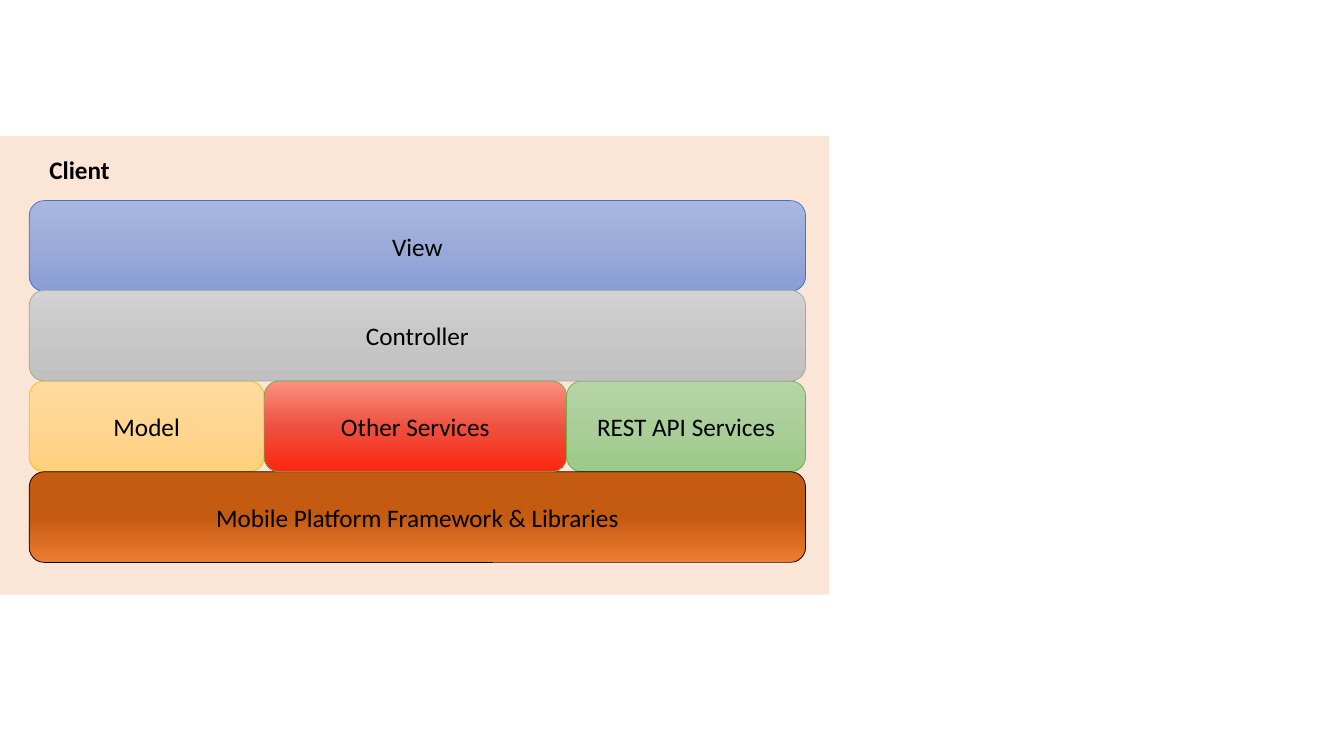
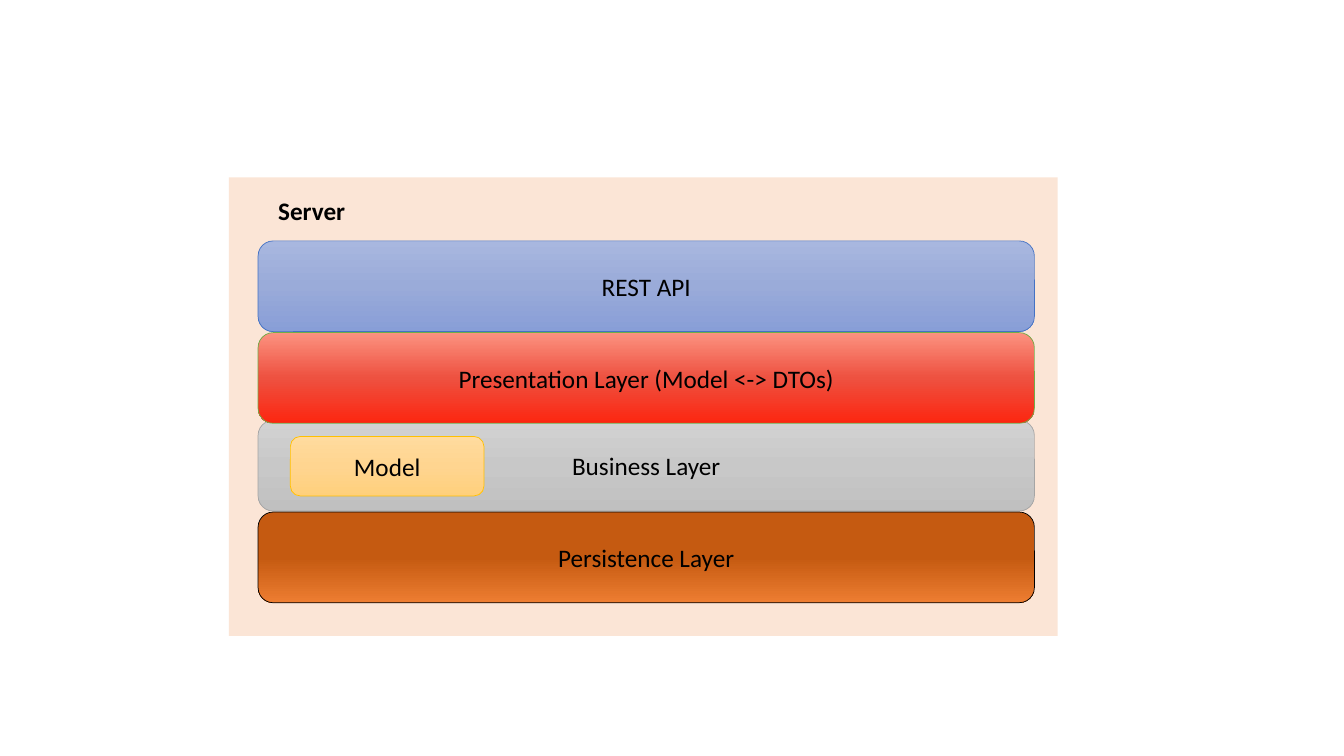
from copy import deepcopy
from dataclasses import dataclass

from pptx import Presentation
from pptx.dml.color import RGBColor
from pptx.enum.shapes import MSO_SHAPE as Shape
from pptx.enum.text import MSO_ANCHOR as Anchor, MSO_AUTO_SIZE as AutoSize, PP_ALIGN as Align
from pptx.oxml.ns import qn
from pptx.shapes.autoshape import Shape as AutoShape
from pptx.slide import Slide
from pptx.util import Inches, Pt

FONT = "Calibri"
BLACK = RGBColor(0x00, 0x00, 0x00)
PANEL_FILL = RGBColor(0xFB, 0xE5, 0xD6)
GREEN_LINE = RGBColor(0x70, 0xAD, 0x47)

PANEL_WIDTH, PANEL_HEIGHT = 8.22, 4.55
BAR_LEFT, BAR_WIDTH, BAR_HEIGHT = 0.29, 7.7, 0.9
MODEL_WIDTH, OTHER_WIDTH = 2.33, 3.0
OTHER_LEFT = BAR_LEFT + MODEL_WIDTH
REST_LEFT = OTHER_LEFT + OTHER_WIDTH
REST_WIDTH = BAR_LEFT + BAR_WIDTH - REST_LEFT


@dataclass(frozen=True)
class BarStyle:
    """Outline colour and the top, middle and bottom colours of the gradient."""
    line: RGBColor
    stops: tuple[RGBColor, RGBColor, RGBColor]


@dataclass(frozen=True)
class Bar:
    """A layer of the stack, placed relative to its panel, in inches."""
    text: str
    style: BarStyle
    top: float
    left: float = BAR_LEFT
    width: float = BAR_WIDTH
    height: float = BAR_HEIGHT


@dataclass(frozen=True)
class Panel:
    heading: str
    left: float
    top: float
    bars: tuple[Bar, ...]


BLUE = BarStyle(
    RGBColor(0x44, 0x72, 0xC4),
    (RGBColor(0xA8, 0xB7, 0xDF), RGBColor(0x9A, 0xAB, 0xD9), RGBColor(0x88, 0x9E, 0xD7)),
)
GRAY = BarStyle(
    RGBColor(0xA5, 0xA5, 0xA5),
    (RGBColor(0xD2, 0xD2, 0xD2), RGBColor(0xC8, 0xC8, 0xC8), RGBColor(0xC0, 0xC0, 0xC0)),
)
YELLOW = BarStyle(
    RGBColor(0xFF, 0xC0, 0x00),
    (RGBColor(0xFF, 0xDB, 0x9E), RGBColor(0xFF, 0xD5, 0x90), RGBColor(0xFF, 0xD0, 0x7C)),
)
GREEN = BarStyle(
    GREEN_LINE,
    (RGBColor(0xB5, 0xD5, 0xA7), RGBColor(0xAA, 0xCE, 0x9A), RGBColor(0x9C, 0xC9, 0x87)),
)
RED = BarStyle(
    GREEN_LINE,
    (RGBColor(0xFC, 0x92, 0x80), RGBColor(0xEE, 0x51, 0x40), RGBColor(0xFC, 0x26, 0x10)),
)
BROWN = BarStyle(
    BLACK,
    (RGBColor(0xC5, 0x5A, 0x11), RGBColor(0xC5, 0x5A, 0x11), RGBColor(0xED, 0x7D, 0x31)),
)

PANELS = (
    Panel("Client", 0, 1.35, (
        Bar("REST API Services", GREEN, 2.43, left=REST_LEFT, width=REST_WIDTH),
        Bar("Model", YELLOW, 2.43, width=MODEL_WIDTH),
        Bar("View", BLUE, 0.64),
        Bar("Controller", GRAY, 1.53),
        Bar("Mobile Platform Framework & Libraries", BROWN, 3.33),
        Bar("Other Services", RED, 2.43, left=OTHER_LEFT, width=OTHER_WIDTH),
    )),
    Panel("Server", 2.27, 1.76, (
        Bar("REST API", BLUE, 0.63),
        Bar("Business Layer", GRAY, 2.41),
        Bar("Persistence Layer", BROWN, 3.32),
        Bar("Presentation Layer (Model <-> DTOs)", RED, 1.54),
        Bar("Model", YELLOW, 2.57, left=0.61, width=1.92, height=0.59),
    )),
)


def write_text(box: AutoShape, text: str, *, bold: bool = False,
               align: Align = Align.LEFT, anchor: Anchor = Anchor.TOP) -> None:
    frame = box.text_frame
    frame.word_wrap = True
    frame.vertical_anchor = anchor
    para = frame.paragraphs[0]
    para.alignment = align
    span = para.add_run()
    span.text = text
    span.font.name = FONT
    span.font.size = Pt(18)
    span.font.bold = bold
    span.font.color.rgb = BLACK


def fill_gradient(box: AutoShape, colors: tuple[RGBColor, ...]) -> None:
    """Fill from top to bottom with evenly spaced colours."""
    box.fill.gradient()
    box.fill.gradient_angle = 270
    stop_list = box.fill._xPr.find(qn("a:gradFill")).find(qn("a:gsLst"))
    for _ in colors[2:]:
        stop_list.append(deepcopy(stop_list[-1]))
    for index, (stop, color) in enumerate(zip(box.fill.gradient_stops, colors)):
        stop.position = index / (len(colors) - 1)
        stop.color.rgb = color


def add_bar(slide: Slide, panel: Panel, bar: Bar) -> None:
    box = slide.shapes.add_shape(
        Shape.ROUNDED_RECTANGLE, Inches(panel.left + bar.left), Inches(panel.top + bar.top),
        Inches(bar.width), Inches(bar.height))
    box.shadow.inherit = False
    fill_gradient(box, bar.style.stops)
    box.line.color.rgb = bar.style.line
    box.line.width = Pt(0.5)
    write_text(box, bar.text, align=Align.CENTER, anchor=Anchor.MIDDLE)


def add_panel(slide: Slide, panel: Panel) -> None:
    background = slide.shapes.add_shape(
        Shape.RECTANGLE, Inches(panel.left), Inches(panel.top),
        Inches(PANEL_WIDTH), Inches(PANEL_HEIGHT))
    background.shadow.inherit = False
    background.fill.solid()
    background.fill.fore_color.rgb = PANEL_FILL
    background.line.fill.background()
    for bar in panel.bars:
        add_bar(slide, panel, bar)
    heading = slide.shapes.add_textbox(
        Inches(panel.left + 0.39), Inches(panel.top + 0.13), Inches(1.18), Inches(0.4))
    write_text(heading, panel.heading, bold=True)
    heading.text_frame.auto_size = AutoSize.SHAPE_TO_FIT_TEXT


def main() -> None:
    deck = Presentation()
    deck.slide_width, deck.slide_height = Inches(13.33), Inches(7.5)
    blank_layout = deck.slide_layouts[6]
    for panel in PANELS:
        add_panel(deck.slides.add_slide(blank_layout), panel)
    deck.save("out.pptx")


if __name__ == "__main__":
    main()
